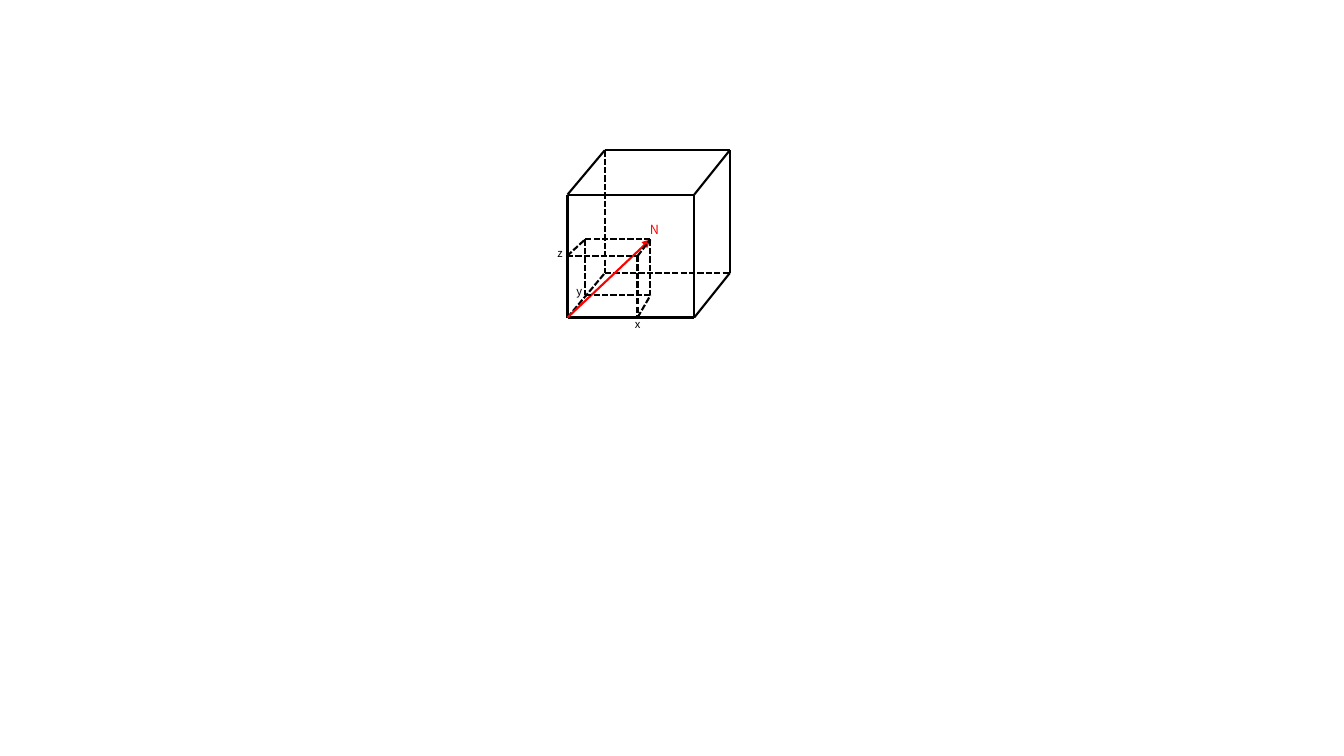
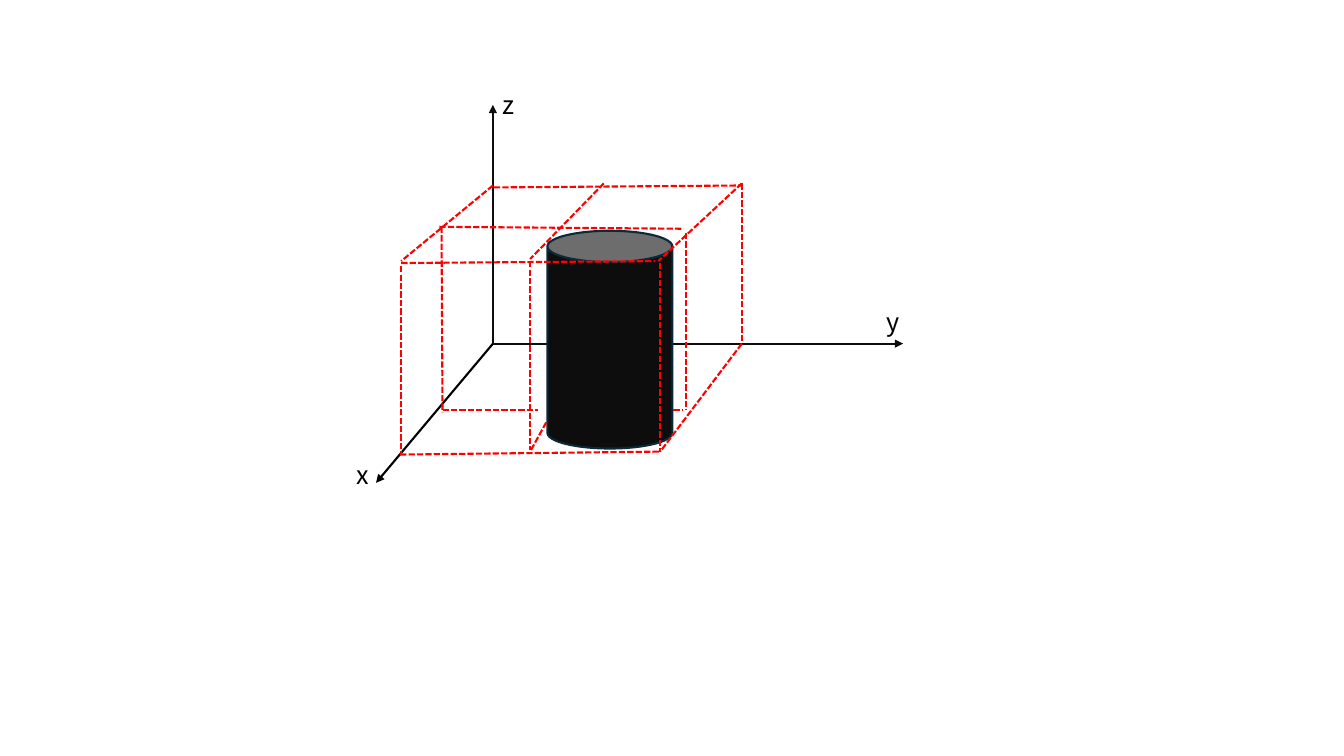
from lxml import etree
from pptx import Presentation
from pptx.dml.color import RGBColor
from pptx.enum.dml import MSO_LINE
from pptx.enum.shapes import MSO_CONNECTOR, MSO_SHAPE
from pptx.enum.text import MSO_AUTO_SIZE
from pptx.oxml.ns import qn
from pptx.util import Pt

STRAIGHT = MSO_CONNECTOR.STRAIGHT
CAN = MSO_SHAPE.CAN
DASHED = MSO_LINE.SQUARE_DOT
FIT_SHAPE = MSO_AUTO_SIZE.SHAPE_TO_FIT_TEXT

BLACK, RED, INK, NAVY = "000000", "FF0000", "0D0D0D", "092A39"
FONT = "Noto Sans CJK SC"
LINE_WIDTH = 1.5

# Cubes: left, top, right, bottom of the front and back faces.
# An edge joins two corners: f/b front or back, t/b top or bottom, l/r left or right.
LARGE_FACES = {"f": (405.4, 139, 495.9, 226.8), "b": (432, 107.3, 521.3, 195.1)}
SMALL_FACES = {"f": (405, 182.9, 455.4, 226.8), "b": (418, 171, 464.6, 211)}
LARGE_SOLID = "ftl-fbl ftl-ftr ftr-fbr fbl-fbr ftl-btl ftr-btr btl-btr fbr-bbr btr-bbr"
LARGE_HIDDEN = "bbl-bbr fbl-bbl btl-bbl"
SMALL_DASHED = "btr-bbr fbr-bbr btl-btr bbl-bbr ftl-btl btl-bbl ftl-ftr ftr-fbr ftr-btr"

# Labels: text, box (left, top, width, height), format.
CUBE_LABELS = [
    ("x", (446.4, 223.2, 18, 17.3), {"size": 8, "wrap": False}),
    ("z", (391, 172.1, 18, 17.3), {"size": 8, "wrap": False}),
    ("y", (404.6, 199.4, 23, 17.3), {"size": 8}),
    ("N", (457.2, 154.8, 20.9, 18), {"size": 9, "color": RED, "wrap": False}),
]

ORIGIN = (352.1, 245.5)
AXES = [((268.6, 344.9), BLACK), ((645.1, 245.5), INK), ((352.1, 74.9), INK)]
CYLINDER = (391, 164.9, 89.3, 155.5)
AXIS_LABELS = [
    ("x", (247.7, 324.7, 49, 28.8), {"size": 18}),
    ("y", (626.4, 215.3, 37.4, 28.8), {"size": 18}),
    ("z", (352.1, 60.5, 31.7, 28.8), {"size": 18}),
]
OUTER_BOX = [
    ((286.6, 187.9), (468, 186.5)),
    ((529.9, 131), (470.2, 186.5)),
    ((285.8, 324.7), (471.6, 322.6)),
    ((529.9, 245.5), (471.6, 322.6)),
    ((471.6, 187.9), (471.6, 322.6)),
    ((286.6, 190.1), (286.6, 324.7)),
    ((352.1, 132.5), (286.6, 186.5)),
    ((352.8, 133.9), (529.9, 132.5)),
    ((529.9, 131), (529.9, 244.8)),
]
CROSS_SECTION = [
    ((313.9, 162), (488.2, 163.4)),
    ((490.3, 166.3), (490.3, 293)),
    ((481, 293), (488.2, 293)),
    ((316.1, 293), (384.5, 293)),
    ((315.4, 162), (316.1, 294.5)),
]
LENGTH_SECTION = [
    ((431.3, 131), (378.7, 185)),
    ((378.7, 186.5), (378.7, 321.1)),
    ((390.2, 301.7), (378.7, 322.6)),
]


def rgb(color):
    return RGBColor.from_string(color)


def add_line(page, start, end, color=BLACK, dashed=False, arrow=False):
    line = page.shapes.add_connector(STRAIGHT, *map(Pt, start + end))
    line.line.color.rgb = rgb(color)
    line.line.width = Pt(LINE_WIDTH)
    if dashed:
        line.line.dash_style = DASHED
    if arrow:
        etree.SubElement(line.line._get_or_add_ln(), qn("a:tailEnd"), type="triangle")
    etree.SubElement(line._element.spPr, qn("a:effectLst"))


def add_text(page, text, box, size=18, color=BLACK, wrap=True):
    frame = page.shapes.add_textbox(*map(Pt, box)).text_frame
    frame.word_wrap = wrap
    frame.auto_size = FIT_SHAPE
    span = frame.paragraphs[0].add_run()
    span.text = text
    span.font.name = FONT
    span.font.size = Pt(size)
    span.font.color.rgb = rgb(color)


def cube_corners(faces):
    """Map corner names such as 'ftl' to points."""
    corners = {}
    for face, (left, top, right, bottom) in faces.items():
        for row, y in (("t", top), ("b", bottom)):
            for side, x in (("l", left), ("r", right)):
                corners[face + row + side] = (x, y)
    return corners


def add_edges(page, corners, edges, dashed=False):
    for edge in edges.split():
        start, end = edge.split("-")
        add_line(page, corners[start], corners[end], dashed=dashed)


def add_cylinder(page):
    cylinder = page.shapes.add_shape(CAN, *map(Pt, CYLINDER))
    cylinder.shadow.inherit = False
    cylinder.fill.solid()
    cylinder.fill.fore_color.rgb = rgb(INK)
    cylinder.line.color.rgb = rgb(NAVY)
    cylinder.line.width = Pt(LINE_WIDTH)


def build_cubes(page):
    large, small = cube_corners(LARGE_FACES), cube_corners(SMALL_FACES)
    add_edges(page, large, LARGE_SOLID)
    add_edges(page, large, LARGE_HIDDEN, dashed=True)
    add_line(page, large["fbl"], small["btr"], color=RED, arrow=True)
    add_edges(page, small, SMALL_DASHED, dashed=True)
    for text, box, style in CUBE_LABELS:
        add_text(page, text, box, **style)


def build_cylinder(page):
    for tip, color in AXES:
        add_line(page, ORIGIN, tip, color=color, arrow=True)
    add_cylinder(page)
    for start, end in OUTER_BOX + CROSS_SECTION + LENGTH_SECTION:
        add_line(page, start, end, color=RED, dashed=True)
    for text, box, style in AXIS_LABELS:
        add_text(page, text, box, **style)


def main():
    deck = Presentation()
    deck.slide_width, deck.slide_height = Pt(960), Pt(540)
    blank = deck.slide_layouts[6]
    for build in (build_cubes, build_cylinder):
        build(deck.slides.add_slide(blank))
    deck.save("out.pptx")


if __name__ == "__main__":
    main()
